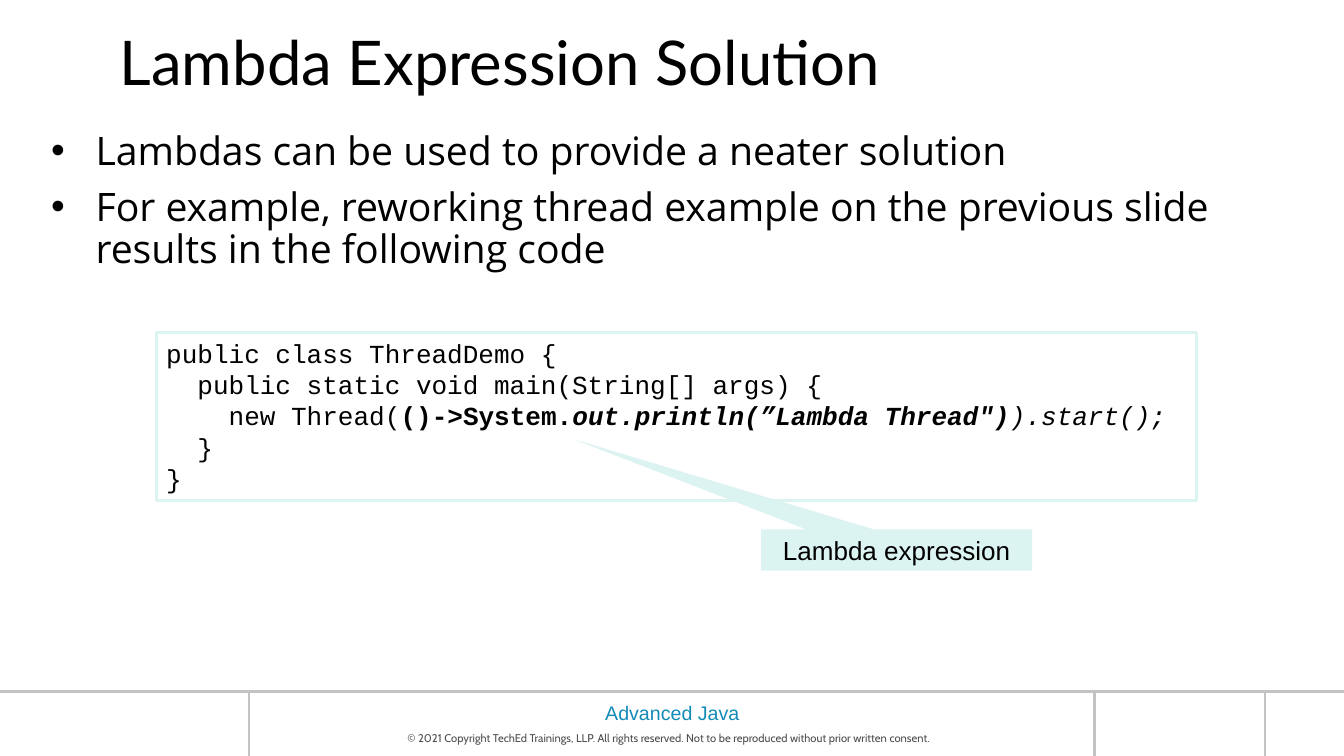
from lxml import etree
from pptx import Presentation
from pptx.dml.color import RGBColor
from pptx.enum.shapes import MSO_CONNECTOR, MSO_SHAPE
from pptx.enum.text import MSO_ANCHOR, PP_ALIGN
from pptx.oxml.ns import qn
from pptx.util import Cm, Pt

LEFT, MID = PP_ALIGN.LEFT, PP_ALIGN.CENTER
TOP, HALF = MSO_ANCHOR.TOP, MSO_ANCHOR.MIDDLE
RECT, CALL = MSO_SHAPE.RECTANGLE, MSO_SHAPE.RECTANGULAR_CALLOUT
LINE = MSO_CONNECTOR.STRAIGHT

WIDE, HIGH = 33.87, 19.05
HUES = {"ink": "000000", "mint": "DCF4F1", "rule": "C3C3C3", "blue": "138BB9", "gray": "4D4D4D"}

TITLE = ["Lambda Expression Solution"]
POINTS = [
    "Lambdas can be used to provide a neater solution",
    "For example, reworking thread example on the previous slide results in the following code",
]
BOLD, SLANT = {"bold": True}, {"italic": True}
CODE = [
    "public class ThreadDemo {",
    "  public static void main(String[] args) {",
    [
        ("    new Thread(", {}),
        ("()->System.", BOLD),
        ("out.println(”Lambda Thread\")", BOLD | SLANT),
        (").start();", SLANT),
    ],
    "  }",
    "}",
]
LABEL = ["Lambda expression"]
COURSE = ["Advanced Java"]
RIGHTS = ["© 2021 Copyright TechEd Trainings, LLP. All rights reserved. Not to be reproduced without prior written consent."]

FOOT = 17.43
SPLITS = [6.27, 27.58, 31.88]
RULES = [(0, FOOT, WIDE, FOOT)] + [(x, FOOT, x, HIGH) for x in SPLITS]

STYLES = {
    "title": ("Lato", 44, "ink"),
    "body": ("Open Sans", 28, "ink"),
    "code": ("Courier New", 18.6, "ink"),
    "label": ("Arial", 18.6, "ink"),
    "course": ("Arial", 14, "blue"),
    "rights": ("Cabin", 8, "gray"),
}
TEXTS = [
    (RIGHTS, "rights", (7.72, 18.29, 18.29, 0.61), HALF, MID, {}),
    (COURSE, "course", (14.99, 17.53, 3.91, 0.86), TOP, MID, {}),
    (TITLE, "title", (2.77, 0.51, 28.32, 2.29), HALF, LEFT, {"line_spacing": 0.9}),
    (POINTS, "body", (0.89, 3.18, 32.13, 14.07), TOP, LEFT, {"line_spacing": 0.9}),
]


def color(name):
    return RGBColor.from_string(HUES[name])


def assign(item, values):
    for key, value in values.items():
        setattr(item, key, value)


def bullet(para):
    props = para._p.get_or_add_pPr()
    props.set("marL", str(Cm(1.27)))
    props.set("indent", str(Cm(-1.12)))
    font = etree.SubElement(props, qn("a:buFont"))
    font.set("typeface", "Arial")
    mark = etree.SubElement(props, qn("a:buChar"))
    mark.set("char", "•")


def write(shape, lines, style, anchor, align, form):
    face, size, hue = STYLES[style]
    frame = shape.text_frame
    assign(frame, {"word_wrap": style != "course", "vertical_anchor": anchor})
    for i, line in enumerate(lines):
        para = frame.add_paragraph() if i else frame.paragraphs[0]
        if style == "body":
            bullet(para)
            para.space_before = Pt(10 if i else 0)
        assign(para, {"alignment": align} | form)
        for text, extra in [(line, {})] if isinstance(line, str) else line:
            run = para.add_run()
            run.text = text
            assign(run.font, {"name": face, "size": Pt(size)} | extra)
            run.font.color.rgb = color(hue)


def block(slide, kind, box, fill, edge):
    shape = slide.shapes.add_shape(kind, *map(Cm, box))
    shape.shadow.inherit = False
    if fill:
        shape.fill.solid()
        shape.fill.fore_color.rgb = color(fill)
    else:
        shape.fill.background()
    if edge:
        shape.line.color.rgb = color(edge)
        shape.line.width = Pt(2.25)
    else:
        shape.line.fill.background()
    return shape


def main():
    deck = Presentation()
    assign(deck, {"slide_width": Cm(WIDE), "slide_height": Cm(HIGH)})
    slide = deck.slides.add_slide(deck.slide_layouts[6])

    for ends in RULES:
        rule = slide.shapes.add_connector(LINE, *map(Cm, ends))
        rule.line.color.rgb = color("rule")
        rule.line.width = Pt(1.75)
        etree.SubElement(rule._element.spPr, qn("a:effectLst"))

    for lines, style, box, anchor, align, form in TEXTS:
        shape = slide.shapes.add_textbox(*map(Cm, box))
        write(shape, lines, style, anchor, align, form)

    panel = block(slide, RECT, (3.94, 8.38, 26.21, 4.24), None, "mint")
    write(panel, CODE, "code", TOP, LEFT, {})

    note = block(slide, CALL, (19.18, 13.34, 6.83, 1.04), "mint", None)
    note.adjustments[0] = -1.19
    note.adjustments[1] = -2.68
    write(note, LABEL, "label", HALF, MID, {})

    deck.save("out.pptx")


if __name__ == "__main__":
    main()
